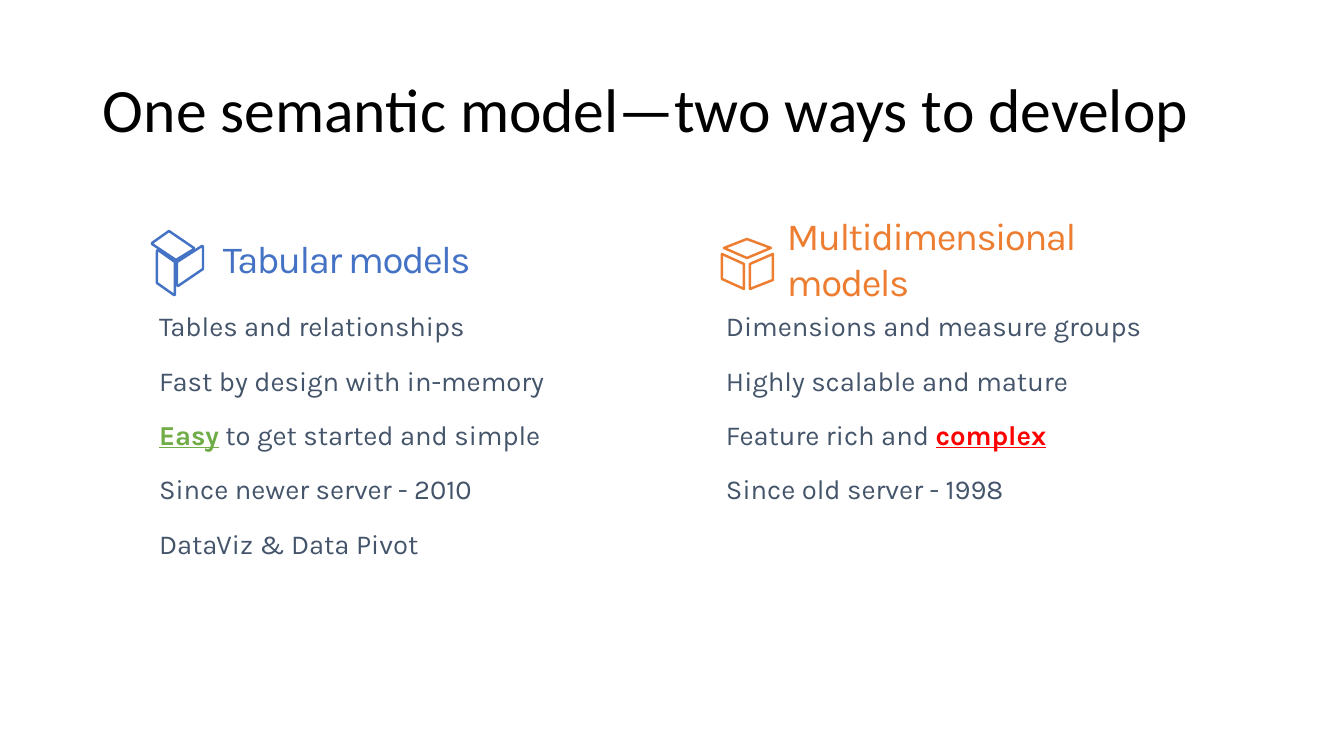
from lxml.etree import SubElement
from pptx import Presentation
from pptx.dml.color import RGBColor
from pptx.enum.text import MSO_ANCHOR, MSO_AUTO_SIZE, PP_ALIGN
from pptx.oxml.ns import qn
from pptx.util import Pt

SCALE = 914400 / 100.8
INK = {
    "black": "000000", "white": "FFFFFF", "slate": "44546A", "blue": "4472C4",
    "orange": "ED7D31", "green": "70AD47", "red": "FF0000",
}
TABS = [
    "Tables and relationships",
    "Fast by design with in-memory",
    [("Easy", "green"), " to get started and simple"],
    "Since newer server - 2010",
    "DataViz & Data Pivot",
]
CUBES = [
    "Dimensions and measure groups",
    "Highly scalable and mature",
    ["Feature rich and ", ("complex", "red")],
    "Since old server - 1998",
]
OPEN = [
    [(158, 250), (175, 262), (175, 295), (174, 295), (157, 283), (157, 251)],
    [(202, 246), (203, 246), (203, 269), (178, 286), (177, 285), (177, 262)],
    [(169, 231), (194, 248), (194, 249), (176, 260), (152, 244), (152, 243)],
]
CLOSED = [
    [(724, 248), (747, 239), (771, 248), (747, 258)],
    [(750, 264), (773, 254), (773, 280), (750, 289)],
    [(744, 264), (722, 254), (722, 279), (744, 289)],
]


def px(num):
    return round(num * SCALE)


def write(par, text, font="Karla", size=19.6, color="slate", bold=False, line=False, track=0):
    run = par.add_run()
    run.text = text
    run.font.name = font
    run.font.size = Pt(size)
    run.font.bold = bold
    run.font.underline = line
    run.font.color.rgb = RGBColor.from_string(INK[color])
    if track:
        run.font._element.set("spc", str(track))


class Deck:
    """Holds the style and the current slide."""

    def __init__(self):
        self.prs = Presentation()
        self.prs.slide_width, self.prs.slide_height = px(1344), px(756)
        self.slide = self.prs.slides.add_slide(self.prs.slide_layouts[4])

    def frame(self, slot, box, anchor, inset=10):
        holder = self.slide.placeholders[slot]
        holder.left, holder.top, holder.width, holder.height = map(px, box)
        body = holder.text_frame
        body.word_wrap = True
        body.auto_size = MSO_AUTO_SIZE.NONE
        body.vertical_anchor = anchor
        body.margin_left, body.margin_right = px(inset), px(8)
        body.margin_top = body.margin_bottom = px(5)
        return body

    def format(self, par, gap=0, lead=0.9):
        prop = par._p.get_or_add_pPr()
        prop.set("marL", "0")
        prop.set("indent", "0")
        SubElement(prop, qn("a:buNone"))
        par.alignment = PP_ALIGN.LEFT
        par.line_spacing = lead
        par.space_before = Pt(gap)

    def title(self, text, box):
        par = self.frame(0, box, MSO_ANCHOR.MIDDLE).paragraphs[0]
        self.format(par)
        write(par, text, font="Calibri", size=44, color="black")

    def head(self, slot, text, box, color):
        par = self.frame(slot, box, MSO_ANCHOR.MIDDLE, 138).paragraphs[0]
        self.format(par, lead=1.0)
        write(par, text, size=27.4, color=color, track=-110)

    def list(self, slot, rows, box):
        body = self.frame(slot, box, MSO_ANCHOR.TOP)
        for pos, row in enumerate(rows):
            par = body.add_paragraph() if pos else body.paragraphs[0]
            self.format(par, gap=17.7 if pos else 0)
            for part in [row] if isinstance(row, str) else row:
                if isinstance(part, str):
                    write(par, part)
                else:
                    write(par, part[0], color=part[1], bold=True, line=True)

    def icon(self, faces, color, fill=None):
        pen = self.slide.shapes.build_freeform(*faces[0][0], scale=SCALE)
        for pos, face in enumerate(faces):
            if pos:
                pen.move_to(*face[0])
            pen.add_line_segments(face[1:], close=True)
        shape = pen.convert_to_shape()
        shape.shadow.inherit = False
        if fill:
            shape.fill.solid()
            shape.fill.fore_color.rgb = RGBColor.from_string(INK[fill])
        else:
            shape.fill.background()
        shape.line.color.rgb = RGBColor.from_string(INK[color])
        shape.line.width = Pt(1.75)


def main():
    deck = Deck()
    deck.title("One semantic model—two ways to develop", (93, 40, 1159, 146))
    deck.head(1, "Tabular models", (85, 194, 553, 128), "blue")
    deck.list(2, TABS, (149, 308, 481, 93))
    deck.head(3, "Multidimensional models", (649, 194, 553, 128), "orange")
    deck.list(4, CUBES, (716, 308, 489, 91))
    deck.icon(OPEN, "blue")
    for face in CLOSED:
        deck.icon([face], "orange", "white")
    deck.prs.save("out.pptx")


if __name__ == "__main__":
    main()
